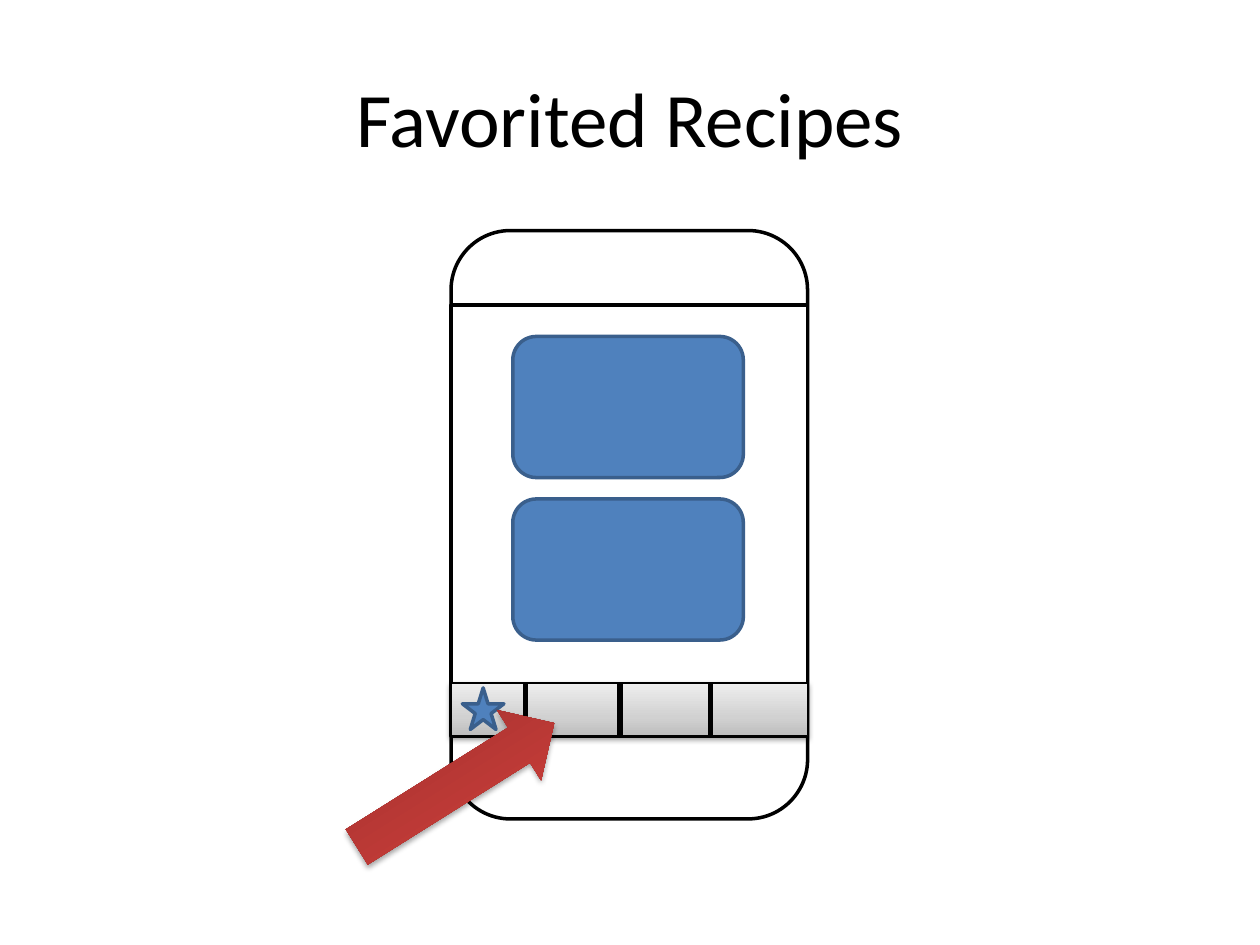
from lxml import etree
from pptx import Presentation
from pptx.dml.color import RGBColor
from pptx.enum import shapes, text
from pptx.oxml import ns
from pptx.util import Inches, Pt

COLORS = {"ink": "000000", "paper": "FFFFFF", "blue": "4F81BD", "edge": "3A5F8C"}
GRADS = {
    "bar": [(0, "BDBDBD"), (35, "D1D1D1"), (100, "EEEEEE")],
    "arrow": [(0, "9C2F2D"), (80, "CB3E3A"), (100, "CE3B37")],
}
KIND = shapes.MSO_SHAPE


def rgb(name):
    return RGBColor.from_string(COLORS[name])


def sub(node, tag, **attrs):
    return etree.SubElement(node, ns.qn(tag), {k: str(v) for k, v in attrs.items()})


def add_text(slide, words, box, size=44, font="Calibri", color="ink"):
    frame = slide.shapes.add_textbox(*map(Inches, box)).text_frame
    frame.word_wrap = True
    frame.vertical_anchor = text.MSO_ANCHOR.MIDDLE
    para = frame.paragraphs[0]
    para.alignment = text.PP_ALIGN.CENTER
    run = para.add_run()
    run.text = words
    run.font.size, run.font.name = Pt(size), font
    run.font.color.rgb = rgb(color)


def add_shape(owner, kind, box, fill=None, line=None, width=2):
    shape = owner.shapes.add_shape(kind, *map(Inches, box))
    shape.shadow.inherit = False
    if fill:
        shape.fill.solid()
        shape.fill.fore_color.rgb = rgb(fill)
    if line:
        shape.line.color.rgb = rgb(line)
        shape.line.width = Pt(width)
    else:
        shape.line.fill.background()
    return shape


def add_grad(shape, stops):
    """Fill from bottom to top."""
    shape.fill.gradient()
    shape.fill.gradient_angle = 90
    group = shape.element.spPr.find(".//" + ns.qn("a:gsLst"))
    for old in list(group):
        group.remove(old)
    for pos, color in stops:
        sub(sub(group, "a:gs", pos=pos * 1000), "a:srgbClr", val=color)


def add_shadow(shape, alpha, dist):
    effects = shape.element.spPr.find(ns.qn("a:effectLst"))
    outer = sub(effects, "a:outerShdw", blurRad=Pt(3.1), dist=Pt(dist),
                dir=90 * 60000, rotWithShape=0)
    sub(sub(outer, "a:srgbClr", val=COLORS["ink"]), "a:alpha", val=alpha * 1000)


def add_line(owner, x, top, bottom):
    line = owner.shapes.add_connector(
        shapes.MSO_CONNECTOR.STRAIGHT, *map(Inches, (x, top, x, bottom)))
    line.line.color.rgb = rgb("ink")
    line.line.width = Pt(3)
    sub(line.element.spPr, "a:effectLst")


def add_phone(slide, left, width):
    phone = slide.shapes.add_group_shape()
    add_shape(phone, KIND.ROUNDED_RECTANGLE, (left, 1.83, width, 4.67), "paper", "ink")
    add_shape(phone, KIND.RECTANGLE, (left, 2.42, width, 3.42), "paper", "ink")


def add_bar(slide, left, width, top=5.42, height=0.42):
    bar = slide.shapes.add_group_shape()
    back = add_shape(bar, KIND.RECTANGLE, (left, top, width, height),
                     line="ink", width=0.75)
    add_grad(back, GRADS["bar"])
    add_shadow(back, alpha=38, dist=1.6)
    for x in (4.17, 4.92, 5.64):
        add_line(bar, x, top, top + height)
    add_shape(bar, KIND.STAR_5_POINT, (3.67, 5.46, 0.33, 0.33), "blue", "edge")


def add_arrow(slide):
    arrow = add_shape(slide, KIND.LEFT_ARROW, (2.69, 5.9, 1.85, 0.66))
    arrow.rotation = 147.9
    add_grad(arrow, GRADS["arrow"])
    add_shadow(arrow, alpha=35, dist=1.8)


def main():
    deck = Presentation()
    deck.slide_width, deck.slide_height = Inches(10), Inches(7.5)
    slide = deck.slides.add_slide(deck.slide_layouts[6])
    left, width = 3.58, 2.83

    # Title
    add_text(slide, "Favorited Recipes", (0.5, 0.3, 9, 1.25))
    # Phone with recipe cards
    add_phone(slide, left, width)
    for row in range(2):
        add_shape(slide, KIND.ROUNDED_RECTANGLE,
                  (4.07, 2.67 + row * 1.29, 1.83, 1.12), "blue", "edge")
    # Tab bar and pointer
    add_bar(slide, left, width)
    add_arrow(slide)
    deck.save("out.pptx")


if __name__ == "__main__":
    main()
